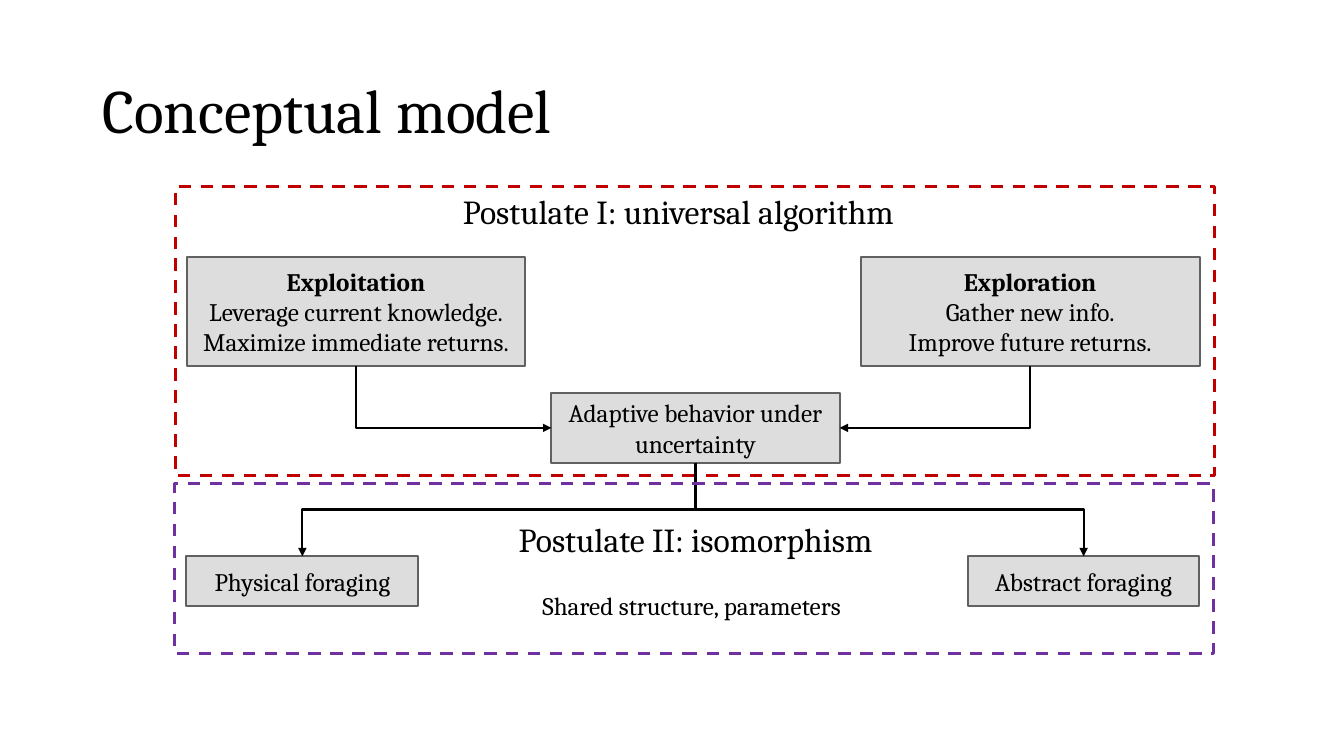
from collections import namedtuple

from lxml.etree import SubElement
from pptx import Presentation
from pptx.dml.color import RGBColor
from pptx.enum.dml import MSO_LINE
from pptx.enum.shapes import MSO_CONNECTOR, MSO_SHAPE
from pptx.enum.text import MSO_ANCHOR, PP_ALIGN
from pptx.oxml.ns import qn
from pptx.util import Pt

BLACK = RGBColor(0x00, 0x00, 0x00)
CARD_FILL = RGBColor(0xDD, 0xDD, 0xDD)
CARD_EDGE = RGBColor(0x61, 0x61, 0x61)
RED = RGBColor(0xC0, 0x00, 0x00)
PURPLE = RGBColor(0x70, 0x30, 0xA0)
FONT = "Cambria"
LEFT_SITE, BOTTOM_SITE, RIGHT_SITE, TOP_SITE = 1, 2, 3, 0

Box = namedtuple("Box", "left top width height")
TITLE_BOX = Box(66, 28.8, 828, 104.4)
POSTULATE_1_BOX = Box(125.3, 133.2, 742.3, 206.6)
POSTULATE_2_BOX = Box(124.6, 345.6, 742.3, 121)


def within(box, dx, dy, width, height):
    """Box of the given size, offset from the corner of another box."""
    return Box(box.left + dx, box.top + dy, width, height)


def points(box):
    return [Pt(length) for length in box]


def write(shape, lines, size=18, align=PP_ALIGN.CENTER, anchor=MSO_ANCHOR.MIDDLE,
          wrap=True, bold_first=False, spacing=None):
    """Fill a shape with one paragraph per line."""
    frame = shape.text_frame
    frame.word_wrap = wrap
    frame.vertical_anchor = anchor
    for index, line in enumerate(lines):
        paragraph = frame.add_paragraph() if index else frame.paragraphs[0]
        paragraph.alignment = align
        paragraph.line_spacing = spacing
        run = paragraph.add_run()
        run.text = line
        run.font.name = FONT
        run.font.size = Pt(size)
        run.font.bold = bold_first and index == 0
        run.font.color.rgb = BLACK


def add_label(slide, box, text, **text_format):
    write(slide.shapes.add_textbox(*points(box)), [text], **text_format)


def add_card(slide, box, *lines, **text_format):
    card = slide.shapes.add_shape(MSO_SHAPE.RECTANGLE, *points(box))
    card.shadow.inherit = False
    card.fill.solid()
    card.fill.fore_color.rgb = CARD_FILL
    card.line.color.rgb = CARD_EDGE
    card.line.width = Pt(1.5)
    write(card, lines, **text_format)
    return card


def add_dashed_frame(slide, box, color):
    frame = slide.shapes.add_shape(MSO_SHAPE.RECTANGLE, *points(box))
    frame.shadow.inherit = False
    frame.fill.background()
    frame.line.color.rgb = color
    frame.line.width = Pt(2.25)
    frame.line.dash_style = MSO_LINE.DASH


def add_arrow(slide, source, target, site):
    """Elbow arrow from the bottom of source to a site of target."""
    start_x = source.left + source.width // 2
    start_y = source.top + source.height
    end_x, end_y = {
        LEFT_SITE: (target.left, target.top + target.height // 2),
        RIGHT_SITE: (target.left + target.width, target.top + target.height // 2),
        TOP_SITE: (target.left + target.width // 2, target.top),
    }[site]
    run, drop = abs(end_x - start_x), end_y - start_y

    arrow = slide.shapes.add_connector(
        MSO_CONNECTOR.ELBOW, start_x, start_y, end_x, end_y)
    arrow.begin_connect(source, BOTTOM_SITE)
    arrow.end_connect(target, site)
    arrow.line.color.rgb = BLACK
    arrow.line.width = Pt(1.5)

    # The elbow leaves downwards, so its frame lies on its side.
    arrow.left = (start_x + end_x - drop) // 2
    arrow.top = (start_y + end_y - run) // 2
    arrow.width, arrow.height = drop, run
    properties = arrow._element.spPr
    transform = properties.find(qn("a:xfrm"))
    rightward = end_x > start_x
    transform.set("rot", str((270 if rightward else 90) * 60000))
    transform.set("flipH", "1" if rightward else "0")
    transform.set("flipV", "0")
    if site != TOP_SITE:
        properties.find(qn("a:prstGeom")).set("prst", "bentConnector2")
    SubElement(properties.find(qn("a:ln")), qn("a:tailEnd"), type="triangle")
    SubElement(properties, qn("a:effectLst"))


def add_universal_algorithm(slide, box):
    """Build the first postulate and return its outcome card."""
    exploitation = add_card(
        slide, within(box, 8, 50.4, 242, 78), "Exploitation",
        "Leverage current knowledge.", "Maximize immediate returns.", bold_first=True)
    exploration = add_card(
        slide, within(box, 489.6, 50.4, 242, 78), "Exploration",
        "Gather new info.", "Improve future returns.", bold_first=True)
    behavior = add_card(slide, within(box, 268.5, 147.6, 206, 49.7),
                        "Adaptive behavior under uncertainty")
    add_label(slide, within(box, 190, -0.7, 338.4, 36), "Postulate I: universal algorithm",
              size=24, anchor=MSO_ANCHOR.TOP, wrap=False)
    add_arrow(slide, exploitation, behavior, LEFT_SITE)
    add_arrow(slide, exploration, behavior, RIGHT_SITE)
    add_dashed_frame(slide, box, RED)
    return behavior


def add_isomorphism(slide, box, behavior):
    """Build the second postulate, fed by the behavior card."""
    for dx, foraging in ((8.6, "Physical foraging"), (566.6, "Abstract foraging")):
        card = add_card(slide, within(box, dx, 51.8, 165.6, 35.3), foraging)
        add_arrow(slide, behavior, card, TOP_SITE)
    add_label(slide, within(box, 231.8, 21.6, 280.8, 36), "Postulate II: isomorphism",
              size=24, anchor=MSO_ANCHOR.TOP, wrap=False)
    add_label(slide, within(box, 248.4, 72.7, 242, 29), "Shared structure, parameters",
              anchor=MSO_ANCHOR.TOP, wrap=False)
    add_dashed_frame(slide, box, PURPLE)


def main():
    deck = Presentation()
    deck.slide_width, deck.slide_height = Pt(960), Pt(540)
    slide = deck.slides.add_slide(deck.slide_layouts[6])
    add_label(slide, TITLE_BOX, "Conceptual model", size=44,
              align=PP_ALIGN.LEFT, spacing=0.9)
    behavior = add_universal_algorithm(slide, POSTULATE_1_BOX)
    add_isomorphism(slide, POSTULATE_2_BOX, behavior)
    deck.save("out.pptx")


if __name__ == "__main__":
    main()
